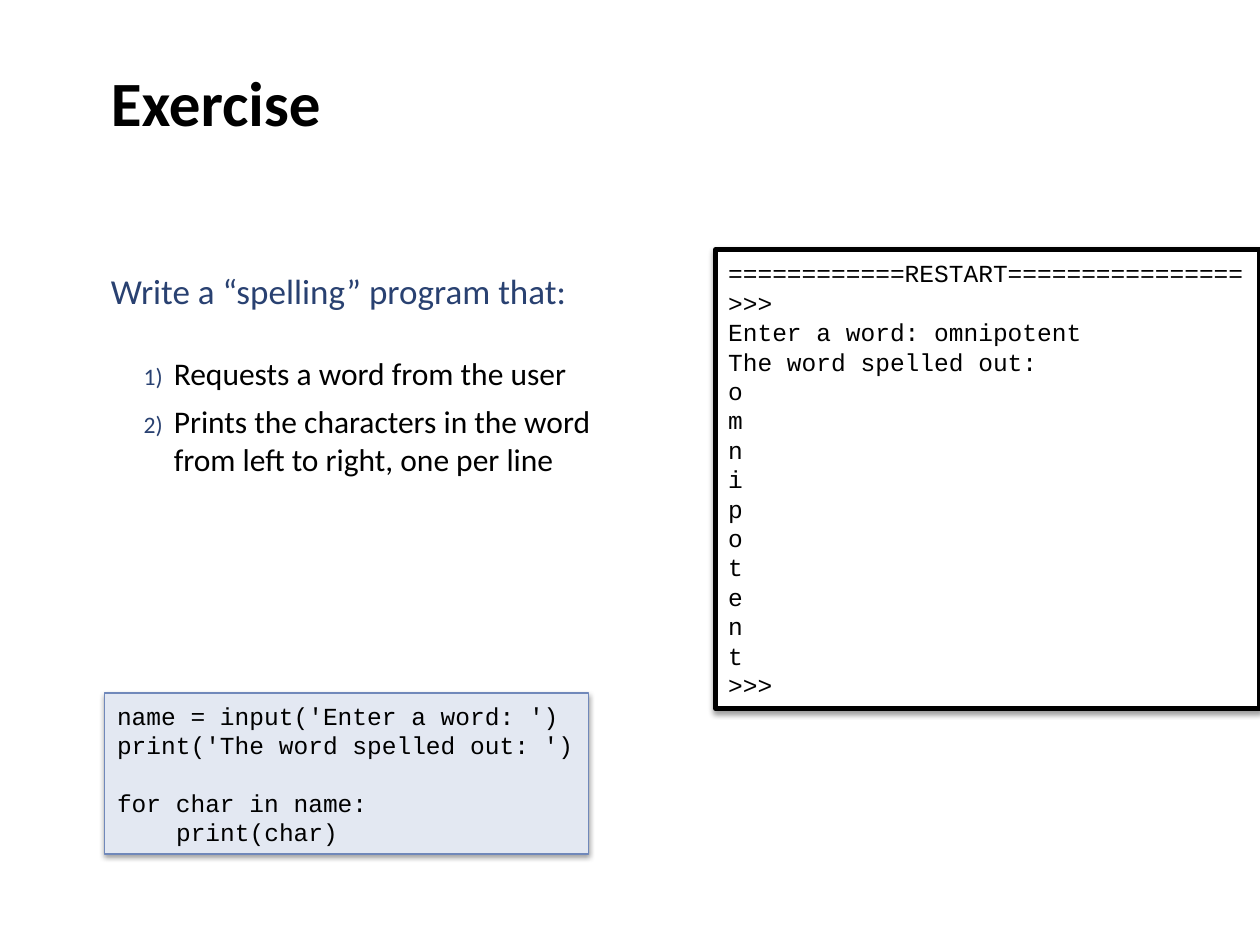
"""Builds the spelling exercise slide."""
from dataclasses import dataclass
from typing import Any

from lxml.etree import SubElement
from pptx import Presentation
from pptx.dml.color import RGBColor
from pptx.enum.shapes import MSO_SHAPE
from pptx.enum.text import MSO_ANCHOR, MSO_AUTO_SIZE, PP_ALIGN
from pptx.oxml.ns import qn
from pptx.util import Cm, Pt


@dataclass(frozen=True)
class Theme:
    ink: str = "000000"
    accent: str = "294171"
    paper: str = "FFFFFF"
    code_fill: str = "E3E8F2"
    code_line: str = "7088BA"
    text_font: str = "Calibri"
    code_font: str = "Courier New"
    title_size: int = 36
    lead_size: int = 20
    item_size: int = 18
    code_size: int = 14


def apply(target, values):
    for name, value in values.items():
        setattr(target, name, value)


def add_xml(parent, tag, **attributes):
    return SubElement(parent, qn(tag), {key: str(value) for key, value in attributes.items()})


@dataclass
class ExercisePage:
    theme: Theme
    page: Any

    def place(self, box, area, **frame_format):
        apply(box, dict(zip(("left", "top", "width", "height"), map(Cm, area))))
        apply(box.text_frame, {"word_wrap": True, "vertical_anchor": MSO_ANCHOR.MIDDLE,
                               "auto_size": MSO_AUTO_SIZE.NONE, **frame_format})

    def add_text(self, para, text, size, font, color, bold=False, **para_format):
        apply(para, {"alignment": PP_ALIGN.LEFT, "space_before": Pt(0),
                     "space_after": Pt(0), **para_format})
        span = para.add_run()
        span.text = text
        apply(span.font, {"size": Pt(size), "name": font, "bold": bold})
        span.font.color.rgb = RGBColor.from_string(color)

    def paragraphs(self, box, count):
        frame = box.text_frame
        return [frame.paragraphs[0]] + [frame.add_paragraph() for _ in range(count - 1)]

    def title(self, text, area):
        box = self.page.shapes.title
        self.place(box, area)
        self.add_text(box.text_frame.paragraphs[0], text, self.theme.title_size,
                      self.theme.text_font, self.theme.ink, bold=True)

    def numbered_list(self, lead, items, area):
        theme = self.theme
        box = self.page.placeholders[1]
        self.place(box, area)
        first, *rest = self.paragraphs(box, len(items) + 1)
        self.add_text(first, lead, theme.lead_size, theme.text_font, theme.accent,
                      space_after=Pt(24))
        self.indent(first, 1.27, -1.27)
        add_xml(first._p.get_or_add_pPr(), "a:buNone")
        for para, item in zip(rest, items):
            self.add_text(para, item, theme.item_size, theme.text_font, theme.ink,
                          space_after=Pt(6))
            self.indent(para, 1.27, -0.61)
            properties = para._p.get_or_add_pPr()
            add_xml(add_xml(properties, "a:buClr"), "a:srgbClr", val=theme.accent)
            add_xml(properties, "a:buSzPct", val=75000)
            add_xml(properties, "a:buFont", typeface=theme.text_font)
            add_xml(properties, "a:buAutoNum", type="arabicParenR")

    def indent(self, para, margin, first_line=0):
        properties = para._p.get_or_add_pPr()
        properties.set("marL", str(Cm(margin)))
        properties.set("indent", str(Cm(first_line)))

    def code_box(self, lines, area, fill, line, line_width, wrap=True):
        theme = self.theme
        box = self.page.shapes.add_shape(MSO_SHAPE.RECTANGLE, 0, 0, 0, 0)
        self.place(box, area, word_wrap=wrap)
        box.fill.solid()
        box.fill.fore_color.rgb = RGBColor.from_string(fill)
        box.line.color.rgb = RGBColor.from_string(line)
        box.line.width = Pt(line_width)
        self.drop_shadow(box)
        for para, (text, gap, margin) in zip(self.paragraphs(box, len(lines)), lines):
            self.add_text(para, text, theme.code_size, theme.code_font, theme.ink,
                          space_before=Pt(gap))
            self.indent(para, margin)

    def drop_shadow(self, box):
        box.shadow.inherit = False
        effects = box._element.spPr.find(qn("a:effectLst"))
        shadow = add_xml(effects, "a:outerShdw", blurRad=Pt(3.1), dist=Pt(1.6),
                         dir=90 * 60000, rotWithShape=0)
        color = add_xml(shadow, "a:srgbClr", val=self.theme.ink)
        add_xml(color, "a:alpha", val=38000)


theme = Theme()
deck = Presentation()
apply(deck, {"slide_width": Cm(25.4), "slide_height": Cm(19.05)})
exercise = ExercisePage(theme, deck.slides.add_slide(deck.slide_layouts[1]))

exercise.title("Exercise", (1.98, 0, 21.59, 4.09))
exercise.numbered_list(
    "Write a “spelling” program that:",
    ["Requests a word from the user",
     "Prints the characters in the word from left to right, one per line"],
    (1.98, 5.28, 11.4, 4.5))

program = [("name = input('Enter a word: ')", 0, 0),
           ("print('The word spelled out: ')", 0, 0),
           ("for char in name:", 16, 0),
           ("print(char)", 0, 1.19)]
exercise.code_box(program, (2.11, 13.97, 9.75, 3.25),
                  theme.code_fill, theme.code_line, 0.75, wrap=False)

session = ["============RESTART================", ">>>", "Enter a word: omnipotent",
           "The word spelled out:", *"omnipotent", ">>>"]
exercise.code_box([(text, 0, 0) for text in session], (14.43, 5.03, 10.97, 9.25),
                  theme.paper, theme.ink, 3)

deck.save("out.pptx")
